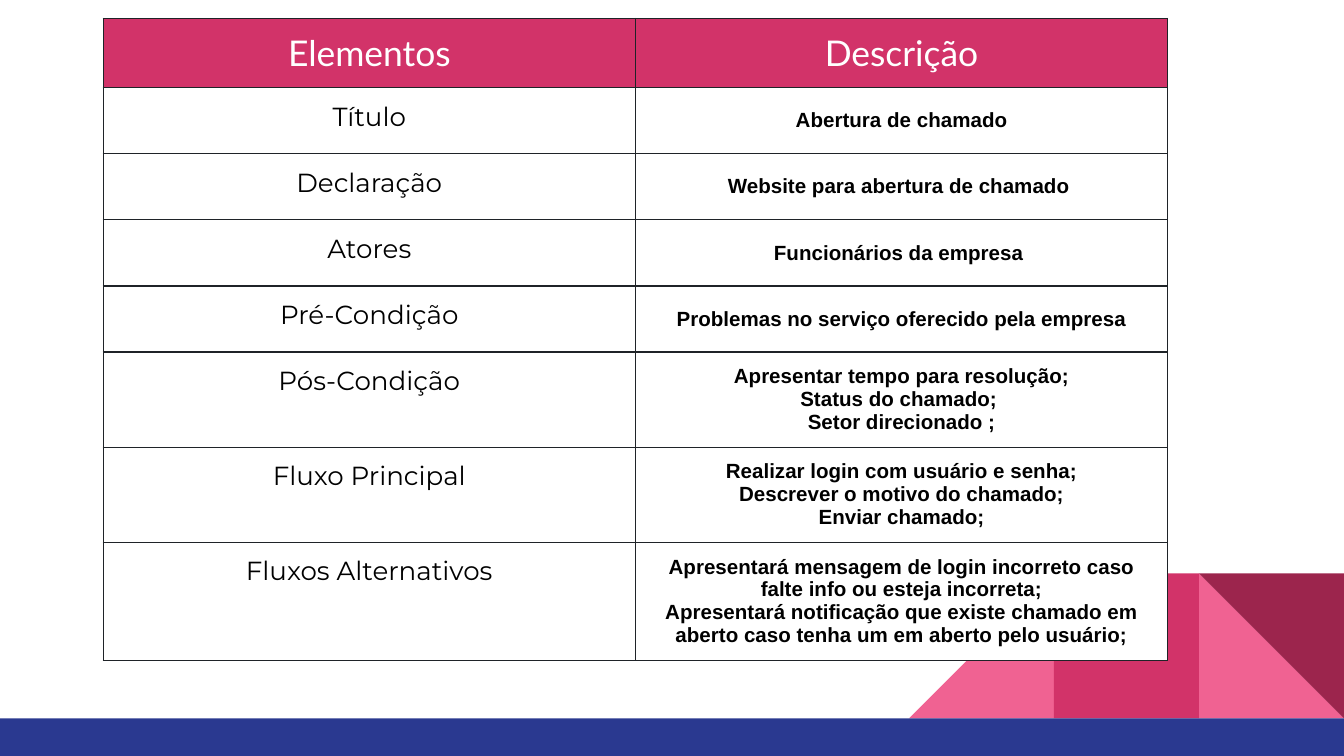
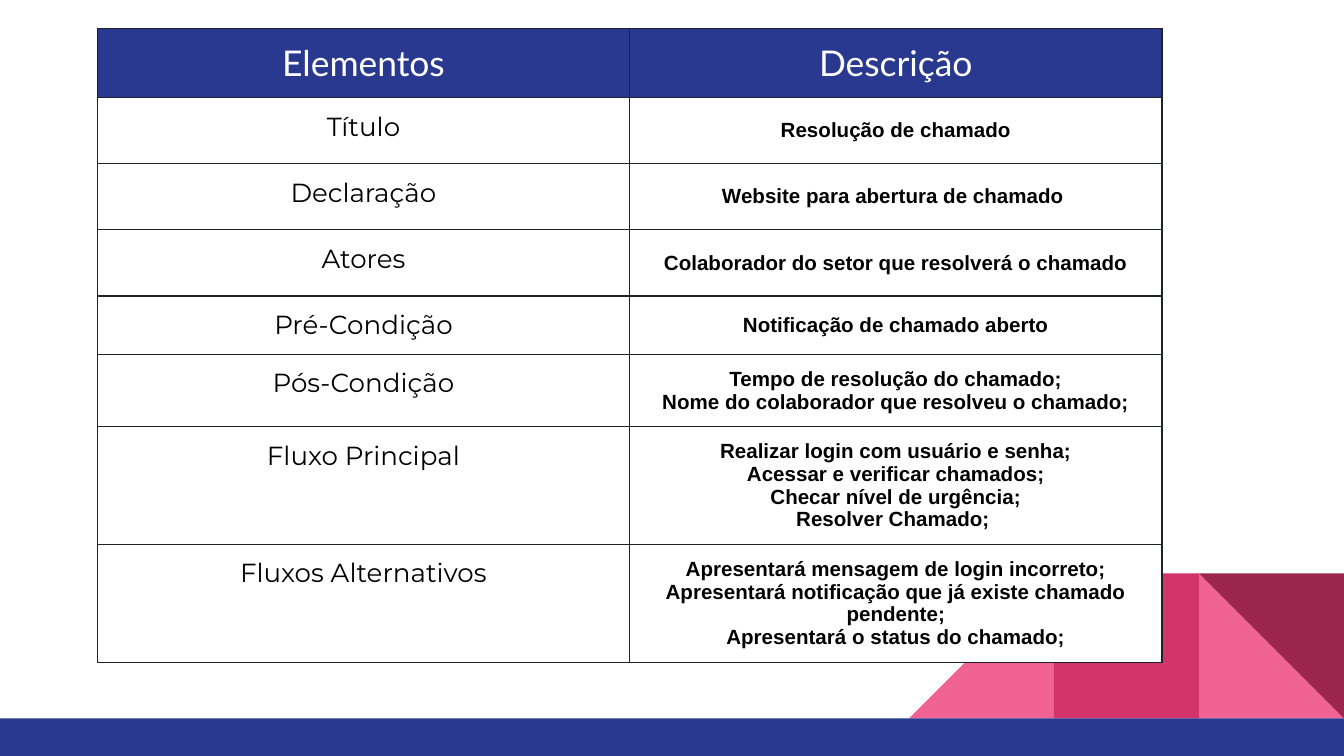
from pptx import Presentation
from pptx.dml.color import RGBColor as Rgb
from pptx.enum.shapes import MSO_SHAPE as Shape
from pptx.enum.text import MSO_ANCHOR as Anchor, PP_ALIGN as Align
from pptx.oxml.ns import qn
from pptx.util import Cm, Pt
from lxml.etree import SubElement

COLORS = {
    "blue": "2A3990",
    "magenta": "D23369",
    "pink": "F06292",
    "wine": "9C254D",
    "border": "1F2328",
    "white": "FFFFFF",
    "black": "000000",
}
PAGE_WIDTH, PAGE_HEIGHT = 25.4, 14.29
BAND_HEIGHT = 0.71
TILE = 2.74
COLUMN_WIDTH = 10.06
ROW_HEIGHT = 1.25
CELL_INSET = 0.25

HEADINGS = ("Elementos", "Descrição")
ELEMENTS = (
    "Título",
    "Declaração",
    "Atores",
    "Pré-Condição",
    "Pós-Condição",
    "Fluxo Principal",
    "Fluxos Alternativos",
)
USE_CASES = (
    {
        "corner": (1.95, 0.35),
        "accent": "magenta",
        "heights": {},
        "descriptions": (
            ("Abertura de chamado",),
            ("Website para abertura de chamado ",),
            ("Funcionários da empresa ",),
            ("Problemas no serviço oferecido pela empresa",),
            ("Apresentar tempo para resolução;", "Status do chamado; ", "Setor direcionado ;"),
            (
                "Realizar login com usuário e senha;",
                "Descrever o motivo do chamado;",
                "Enviar chamado;",
            ),
            (
                "Apresentará mensagem de login incorreto caso falte info ou esteja incorreta;",
                "Apresentará notificação que existe chamado em aberto caso tenha um em aberto pelo usuário;",
            ),
        ),
    },
    {
        "corner": (1.84, 0.54),
        "accent": "blue",
        "heights": {"Pré-Condição": 0.94, "Fluxos Alternativos": 1.73},
        "descriptions": (
            ("Resolução de chamado",),
            ("Website para abertura de chamado ",),
            ("Colaborador do setor que resolverá o chamado",),
            ("Notificação de chamado aberto",),
            ("Tempo de resolução do chamado;", "Nome do colaborador que resolveu o chamado;"),
            (
                "Realizar login com usuário e senha;",
                "Acessar e verificar chamados;",
                "Checar nível de urgência;",
                "Resolver Chamado; ",
            ),
            (
                "Apresentará mensagem de login incorreto;",
                "Apresentará notificação que já existe chamado pendente;",
                "Apresentará o status do chamado;",
            ),
        ),
    },
)


def color(name):
    return Rgb.from_string(COLORS[name])


def write(frame, lines, font, size, ink="black", bold=False):
    for index, line in enumerate(lines):
        para = frame.add_paragraph() if index else frame.paragraphs[0]
        para.alignment = Align.CENTER
        span = para.add_run()
        span.text = line
        span.font.name = font
        span.font.size = Pt(size)
        span.font.bold = bold
        span.font.color.rgb = color(ink)


def add_block(page, kind, left, top, width, height, fill):
    block = page.shapes.add_shape(kind, Cm(left), Cm(top), Cm(width), Cm(height))
    block.shadow.inherit = False
    block.fill.solid()
    block.fill.fore_color.rgb = color(fill)
    block.line.fill.background()
    return block


def add_footer(page):
    band_top = PAGE_HEIGHT - BAND_HEIGHT
    tile_top = band_top - TILE
    left, middle, right = (PAGE_WIDTH - TILE * count for count in (3, 2, 1))
    add_block(page, Shape.RIGHT_TRIANGLE, right, tile_top, TILE, TILE, "pink")
    slope = add_block(page, Shape.RIGHT_TRIANGLE, left, tile_top, TILE, TILE, "pink")
    slope._element.spPr.xfrm.set("flipH", "1")
    add_block(page, Shape.RECTANGLE, middle, tile_top, TILE, TILE, "magenta")
    corner = add_block(page, Shape.RIGHT_TRIANGLE, right, tile_top, TILE, TILE, "wine")
    corner.rotation = 180
    add_block(page, Shape.RECTANGLE, 0, band_top, PAGE_WIDTH, BAND_HEIGHT, "blue")


def style_cell(cell, fill, anchor=Anchor.TOP):
    cell.margin_left = cell.margin_right = Cm(CELL_INSET)
    cell.margin_top = cell.margin_bottom = Cm(CELL_INSET)
    cell.vertical_anchor = anchor
    properties = cell._tc.get_or_add_tcPr()
    for side in ("a:lnL", "a:lnR", "a:lnT", "a:lnB"):
        border = SubElement(properties, qn(side), w=str(Pt(0.75)))
        paint = SubElement(border, qn("a:solidFill"))
        SubElement(paint, qn("a:srgbClr"), val=COLORS["border"])
    cell.fill.solid()
    cell.fill.fore_color.rgb = color(fill)


def add_use_case_table(page, corner, accent, heights, descriptions):
    row_heights = [ROW_HEIGHT] + [heights.get(name, ROW_HEIGHT) for name in ELEMENTS]
    left, top = corner
    table = page.shapes.add_table(
        len(row_heights), len(HEADINGS), Cm(left), Cm(top),
        Cm(COLUMN_WIDTH * len(HEADINGS)), Cm(sum(row_heights)),
    ).table
    table.horz_banding = False
    for column in table.columns:
        column.width = Cm(COLUMN_WIDTH)
    for row, height in zip(table.rows, row_heights):
        row.height = Cm(height)

    for column, heading in enumerate(HEADINGS):
        cell = table.cell(0, column)
        style_cell(cell, accent)
        write(cell.text_frame, [heading], font="Lato", size=19, ink="white")
    for row, (element, lines) in enumerate(zip(ELEMENTS, descriptions), start=1):
        name_cell, text_cell = table.cell(row, 0), table.cell(row, 1)
        style_cell(name_cell, "white")
        write(name_cell.text_frame, [element], font="Montserrat", size=14)
        style_cell(text_cell, "white", anchor=Anchor.MIDDLE)
        write(text_cell.text_frame, lines, font="Arial", size=11, bold=True)


def main():
    deck = Presentation()
    deck.slide_width, deck.slide_height = Cm(PAGE_WIDTH), Cm(PAGE_HEIGHT)
    for use_case in USE_CASES:
        page = deck.slides.add_slide(deck.slide_layouts[6])
        add_footer(page)
        add_use_case_table(page, **use_case)
    deck.save("out.pptx")


if __name__ == "__main__":
    main()
